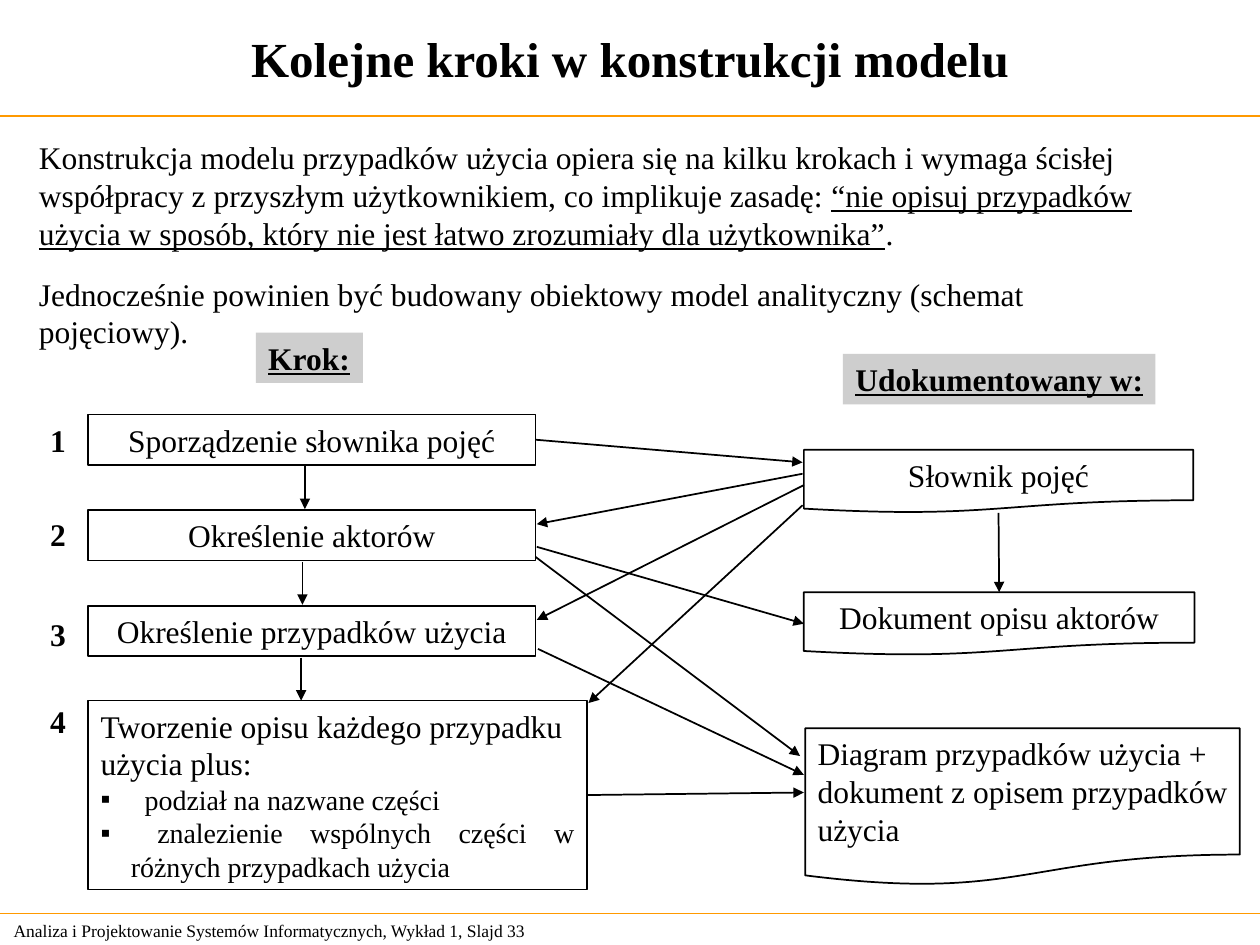
from lxml.etree import SubElement
from pptx import Presentation
from pptx.dml.color import RGBColor
from pptx.enum.shapes import MSO_CONNECTOR, MSO_SHAPE
from pptx.enum.text import MSO_ANCHOR, PP_ALIGN
from pptx.oxml.ns import qn
from pptx.util import Pt

PX = 9144  # 100 px to the inch
WIDTH, HEIGHT = 1000, 750
FONT = "Times New Roman"
BLACK = RGBColor(0x00, 0x00, 0x00)
ORANGE = RGBColor(0xFF, 0x99, 0x00)
GREY = RGBColor(0xCE, 0xCE, 0xCE)
TOP, LEFT, BOTTOM, RIGHT = range(4)


def emu(*lengths):
    return [length * PX for length in lengths]


def format_runs(paragraph, size=18, bold=False, underline=False):
    for run in paragraph.runs:
        font = run.font
        font.name, font.size, font.bold = FONT, Pt(size), bold
        font.underline = underline
        font.color.rgb = BLACK


def write(shape, text, wrap=True, align=PP_ALIGN.LEFT, anchor=MSO_ANCHOR.TOP, **style):
    frame = shape.text_frame
    frame.text = text
    frame.word_wrap = wrap
    frame.vertical_anchor = anchor
    frame.margin_left = frame.margin_right = 10 * PX
    frame.margin_top = frame.margin_bottom = 5 * PX
    for paragraph in frame.paragraphs:
        paragraph.alignment = align
        format_runs(paragraph, **style)
    return frame


def add_text(slide, box, text, **style):
    return write(slide.shapes.add_textbox(*emu(*box)), text, **style)


def add_box(slide, kind, box, text, fill=None, align=PP_ALIGN.CENTER, **style):
    """Outlined box, or a borderless one when a fill is given."""
    shape = slide.shapes.add_shape(kind, *emu(*box))
    shape.shadow.inherit = False
    if fill is None:
        shape.fill.background()
        shape.line.color.rgb = BLACK
        shape.line.width = Pt(1)
    else:
        shape.fill.solid()
        shape.fill.fore_color.rgb = fill
        shape.line.fill.background()
    write(shape, text, align=align, **style)
    return shape


def add_line(slide, start, end, color=BLACK, width=1):
    line = slide.shapes.add_connector(MSO_CONNECTOR.STRAIGHT, *emu(*start, *end))
    line.line.color.rgb = color
    line.line.width = Pt(width)
    SubElement(line._element.spPr, qn("a:effectLst"))
    return line


def add_arrow(slide, start, end, source=None, target=None):
    """Arrow from start to end; source and target are (shape, side) to join."""
    arrow = add_line(slide, start, end)
    SubElement(arrow.line._get_or_add_ln(), qn("a:tailEnd"), type="triangle")
    if source:
        arrow.begin_connect(*source)
    if target:
        arrow.end_connect(*target)


def add_bullet(frame, text, indent, tab=None, align=PP_ALIGN.LEFT):
    paragraph = frame.add_paragraph()
    paragraph.text = text
    paragraph.alignment = align
    properties = paragraph._p.get_or_add_pPr()
    properties.set("marL", str(indent * PX))
    properties.set("indent", str(-indent * PX))
    color = SubElement(properties, qn("a:buClr"))
    SubElement(color, qn("a:srgbClr"), val=str(BLACK))
    SubElement(properties, qn("a:buFont"), typeface=FONT)
    SubElement(properties, qn("a:buChar"), char="▪")
    if tab:
        tabs = SubElement(properties, qn("a:tabLst"))
        SubElement(tabs, qn("a:tab"), pos=str(tab * PX), algn="l")
    format_runs(paragraph, size=16)


def add_frame(slide):
    """Title, footer and the two rules that bound the content."""
    title = slide.shapes.title
    title.left, title.top, title.width, title.height = emu(0, 0, WIDTH, 92)
    write(title, "Kolejne kroki w konstrukcji modelu", align=PP_ALIGN.CENTER,
          anchor=MSO_ANCHOR.MIDDLE, size=28, bold=True)
    for y in (92, 725):
        add_line(slide, (0, y), (WIDTH, y), ORANGE, 0.75)
    add_text(slide, (1, 725, 475, 27),
             "Analiza i Projektowanie Systemów Informatycznych, Wykład 1, Slajd 33",
             anchor=MSO_ANCHOR.MIDDLE, size=10)


def add_intro(slide, left, top):
    frame = add_text(
        slide, (left, top, 956, 100),
        "Konstrukcja modelu przypadków użycia opiera się na kilku krokach i wymaga ścisłej "
        "współpracy z przyszłym użytkownikiem, co implikuje zasadę: ")
    paragraph = frame.paragraphs[0]
    rule = ("“nie opisuj przypadków użycia w sposób, "
            "który nie jest łatwo zrozumiały dla użytkownika”")
    for text in (rule, "."):
        paragraph.add_run().text = text
    format_runs(paragraph)
    paragraph.runs[1].font.underline = True
    add_text(slide, (left, top + 108, 927, 40),
             "Jednocześnie powinien być budowany obiektowy model analityczny "
             "(schemat pojęciowy).", wrap=False)


def add_heading(slide, box, text):
    add_box(slide, MSO_SHAPE.RECTANGLE, box, text, fill=GREY, wrap=False,
            align=PP_ALIGN.LEFT, bold=True, underline=True)


def add_steps(slide, left, top):
    """Numbered column of steps; returns the step boxes."""
    add_heading(slide, (left + 133, top - 65, 85, 40), "Krok:")
    names = ("Sporządzenie słownika pojęć", "Określenie aktorów",
             "Określenie przypadków użycia")
    pitch = 76
    steps = [add_box(slide, MSO_SHAPE.RECTANGLE, (left, top + i * pitch, 355, 40), name)
             for i, name in enumerate(names)]
    last = add_box(slide, MSO_SHAPE.RECTANGLE, (left, top + 227, 396, 150),
                   "Tworzenie opisu każdego przypadku\nużycia plus:", align=PP_ALIGN.LEFT)
    add_bullet(last.text_frame, "podział na nazwane części", 35)
    add_bullet(last.text_frame, "\tznalezienie wspólnych części w różnych przypadkach użycia",
               24, tab=45, align=PP_ALIGN.JUSTIFY)
    for number, y in enumerate((0, 75, 154, 223), 1):
        add_text(slide, (left - 40, top + y, 32, 40), str(number), wrap=False, bold=True)
    for i, x in enumerate((172, 170, 169)):
        y = top + i * pitch
        add_arrow(slide, (left + x, y + 41), (left + x, y + 75))
    return steps + [last]


def add_documents(slide, left, top):
    """Column of resulting documents; returns their shapes."""
    add_heading(slide, (left + 31, top - 76, 248, 40), "Udokumentowany w:")
    kind = MSO_SHAPE.FLOWCHART_DOCUMENT
    glossary = add_box(slide, kind, (left, top, 309, 50), "Słownik pojęć")
    actors = add_box(slide, kind, (left, top + 113, 310, 50), "Dokument opisu aktorów")
    add_box(slide, kind, (left + 1, top + 221, 345, 125),
            "Diagram przypadków użycia +\ndokument z opisem przypadków\nużycia",
            align=PP_ALIGN.LEFT, wrap=False)
    add_arrow(slide, (left + 154, top + 46), (left + 154, top + 113),
              (glossary, BOTTOM), (actors, TOP))
    return glossary, actors


def main():
    presentation = Presentation()
    presentation.slide_width, presentation.slide_height = emu(WIDTH, HEIGHT)
    slide = presentation.slides.add_slide(presentation.slide_layouts[5])
    add_frame(slide)
    add_intro(slide, 21, 105)
    steps = add_steps(slide, 70, 329)
    glossary, actors = add_documents(slide, 638, 357)

    add_arrow(slide, (425, 350), (637, 367), source=(steps[0], RIGHT))
    add_arrow(slide, (426, 434), (638, 492), target=(actors, LEFT))
    add_arrow(slide, (466, 633), (638, 629), source=(steps[3], RIGHT))
    for start, end in (
        ((637, 376), (426, 416)),
        ((638, 385), (426, 492)),
        ((637, 401), (467, 558)),
        ((425, 442), (635, 600)),
        ((427, 515), (638, 615)),
    ):
        add_arrow(slide, start, end)
    presentation.save("out.pptx")


if __name__ == "__main__":
    main()
